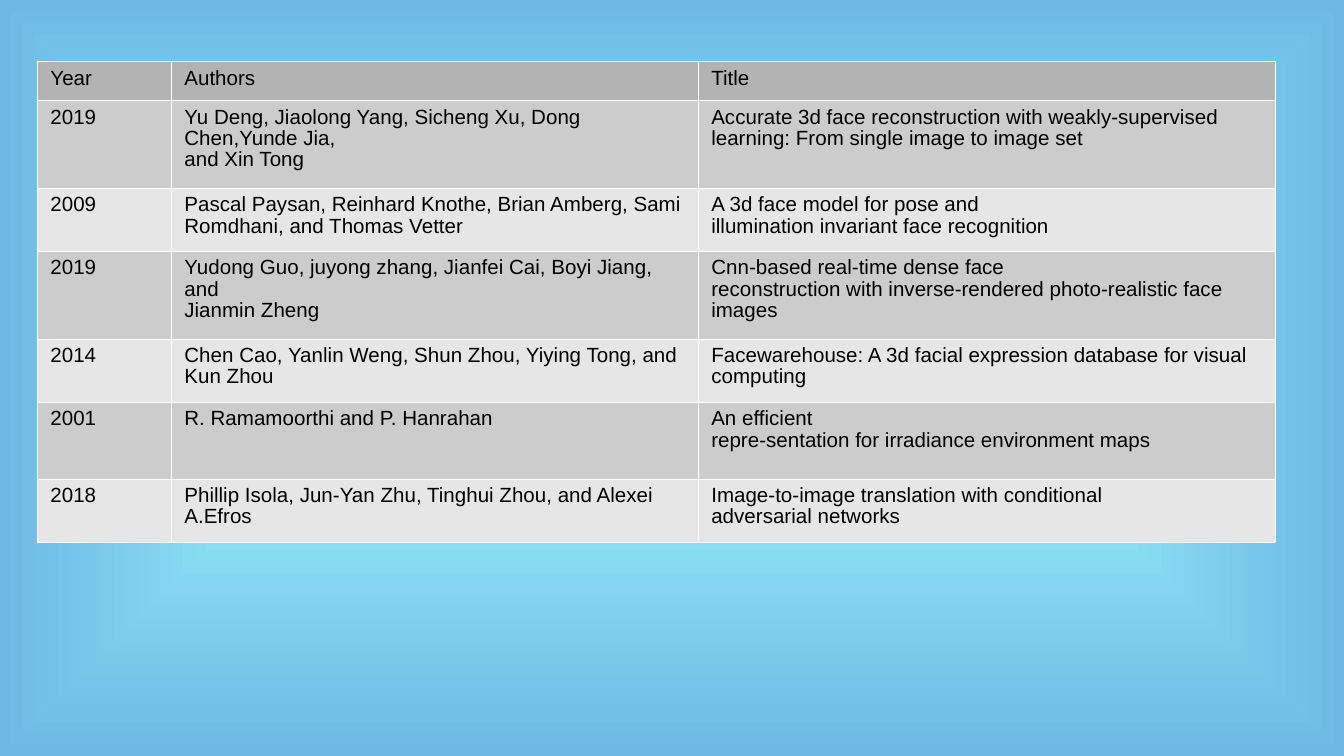
from lxml import etree
from pptx import Presentation
from pptx.dml.color import RGBColor
from pptx.oxml.ns import qn
from pptx.util import Pt

HEAD, DARK, LIGHT = "B3B3B3", "CCCCCC", "E6E6E6"
WIDTHS = [71.8, 282.3, 309.3]
HEIGHTS = [20.9, 46.9, 33.8, 46.9, 34, 41.2, 33.8]
ROWS = [
    ("Year", "Authors", "Title"),
    ("2019",
     "Yu Deng, Jiaolong Yang, Sicheng Xu, Dong Chen,Yunde Jia,\nand Xin Tong",
     "Accurate 3d face reconstruction with weakly-supervised learning: "
     "From single image to image set"),
    ("2009",
     "Pascal Paysan, Reinhard Knothe, Brian Amberg, Sami\n"
     "Romdhani, and Thomas Vetter",
     "A 3d face model for pose and\nillumination invariant face recognition"),
    ("2019",
     "Yudong Guo, juyong zhang, Jianfei Cai, Boyi Jiang, and\nJianmin Zheng",
     "Cnn-based real-time dense face\n"
     "reconstruction with inverse-rendered photo-realistic face images"),
    ("2014",
     "Chen Cao, Yanlin Weng, Shun Zhou, Yiying Tong, and\nKun Zhou",
     "Facewarehouse: A 3d facial expression database for visual computing"),
    ("2001",
     "R. Ramamoorthi and P. Hanrahan",
     "An efficient\nrepre-sentation for irradiance environment maps"),
    ("2018",
     "Phillip Isola, Jun-Yan Zhu, Tinghui Zhou, and Alexei\nA.Efros",
     "Image-to-image translation with conditional\nadversarial networks"),
]


def color(code):
    return RGBColor.from_string(code)


def border(cell, code, width):
    """Draw the same line on all four sides; call before the cell is filled."""
    props = cell._tc.get_or_add_tcPr()
    for side in "LRTB":
        line = etree.SubElement(props, qn(f"a:ln{side}"), w=str(Pt(width)))
        fill = etree.SubElement(line, qn("a:solidFill"))
        etree.SubElement(fill, qn("a:srgbClr"), val=code)


prs = Presentation()
prs.slide_width, prs.slide_height = Pt(720), Pt(405)
slide = prs.slides.add_slide(prs.slide_layouts[6])

# Background: rectangular gradient, light in the centre
back = slide.background.fill
back.gradient()
for stop, code in zip(back.gradient_stops, ["9FFAFF", "6DB9E4"]):
    stop.color.rgb = color(code)
grad = slide.element.find(".//" + qn("a:gradFill"))
grad.remove(grad.find(qn("a:lin")))
shade = etree.SubElement(grad, qn("a:path"), path="rect")
etree.SubElement(shade, qn("a:fillToRect"), dict.fromkeys("ltrb", "50000"))

# Table of papers
table = slide.shapes.add_table(
    len(ROWS), len(WIDTHS), Pt(19.8), Pt(33),
    Pt(sum(WIDTHS)), Pt(sum(HEIGHTS))).table
for col, width in zip(table.columns, WIDTHS):
    col.width = Pt(width)

for i, (texts, height) in enumerate(zip(ROWS, HEIGHTS)):
    table.rows[i].height = Pt(height)
    shade = HEAD if i == 0 else DARK if i % 2 else LIGHT
    for j, text in enumerate(texts):
        cell = table.cell(i, j)
        border(cell, "FFFFFF", 0.06)
        cell.fill.solid()
        cell.fill.fore_color.rgb = color(shade)
        frame = cell.text_frame
        for n, line in enumerate(text.split("\n")):
            para = frame.add_paragraph() if n else frame.paragraphs[0]
            para.line_spacing = 0.93
            run = para.add_run()
            run.text = line
            run.font.name = "Arial"
            run.font.size = Pt(11)
            run.font.bold = False
            run.font.color.rgb = color("000000")

prs.save("out.pptx")
